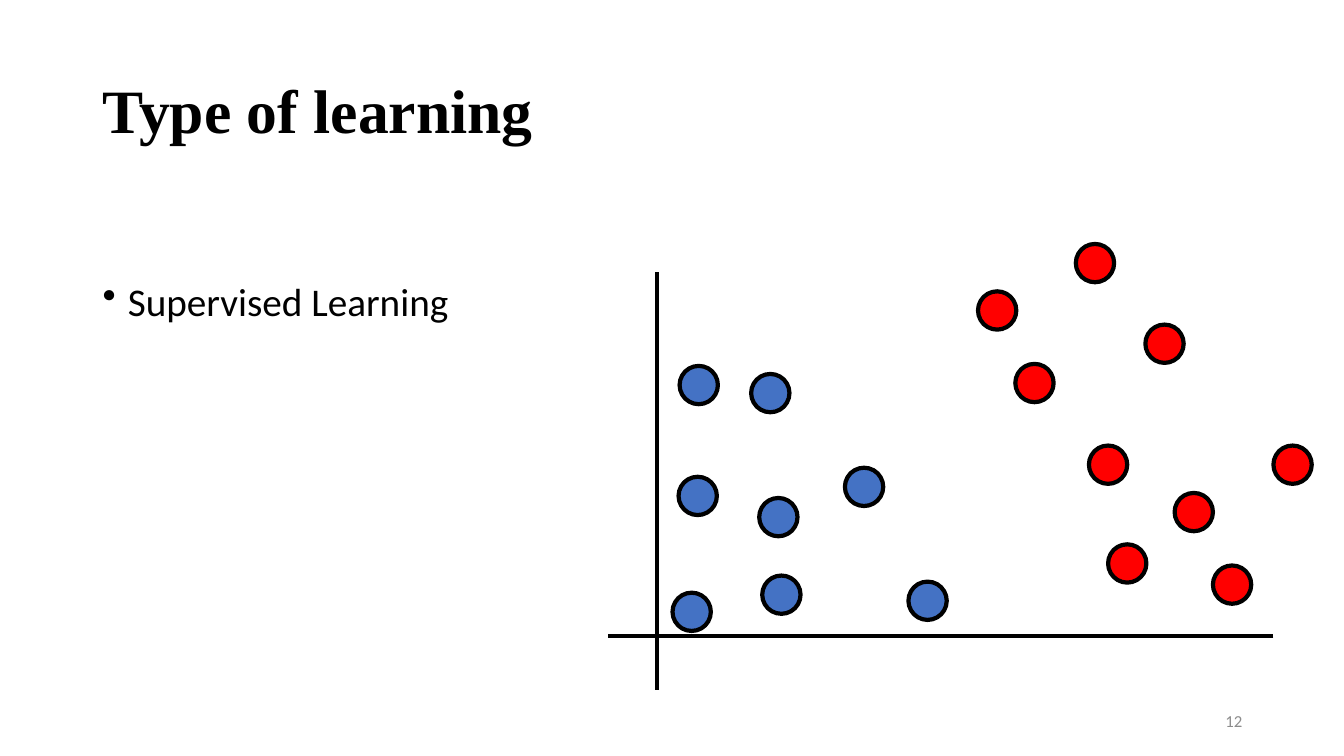
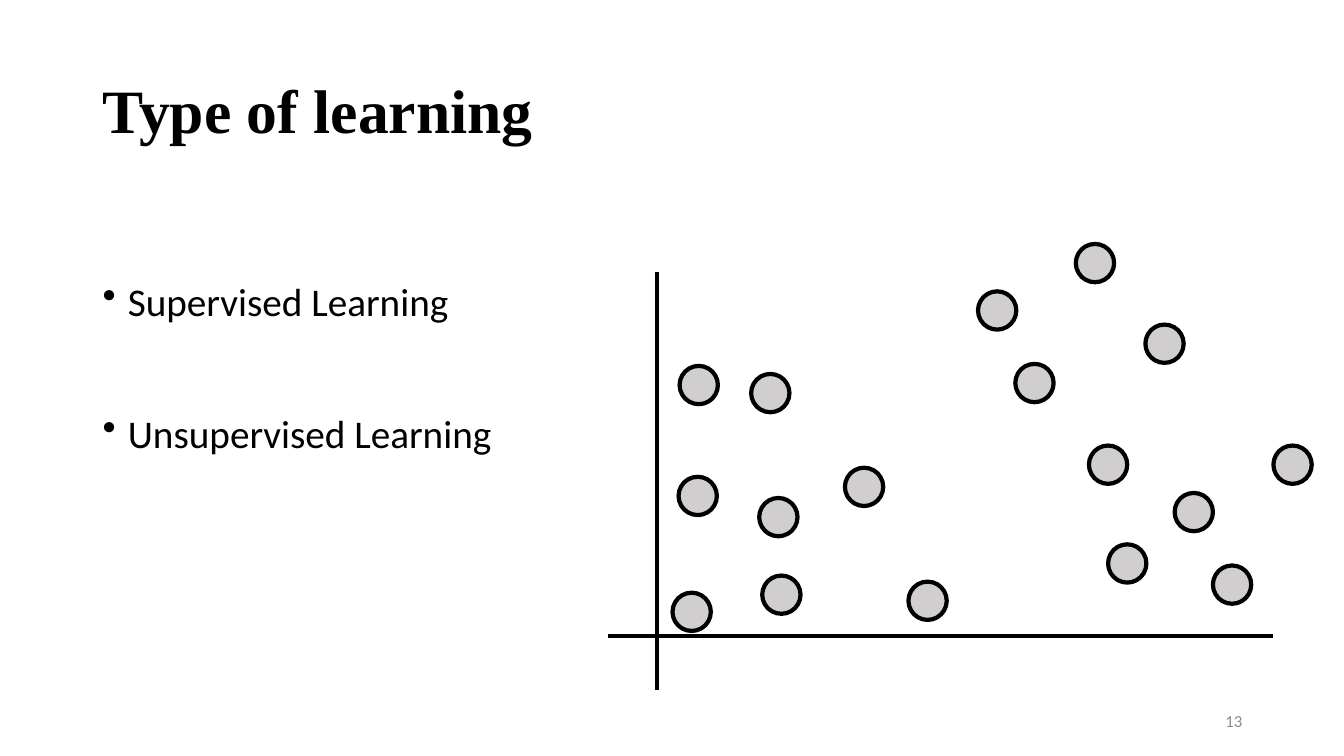
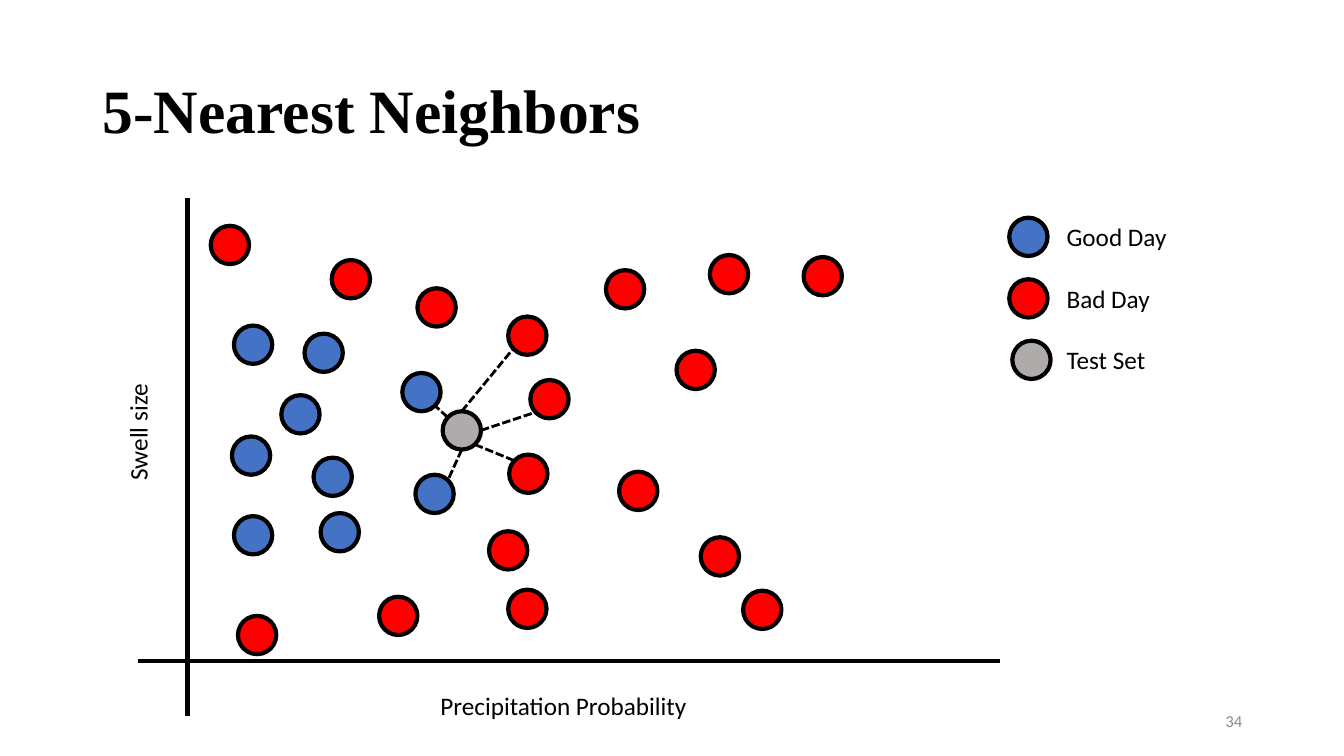
"""Builds three slides on learning types and nearest neighbors."""
from lxml.etree import SubElement
from pptx import Presentation
from pptx.dml.color import RGBColor
from pptx.enum.dml import MSO_LINE
from pptx.enum.shapes import MSO_CONNECTOR, MSO_SHAPE
from pptx.enum.text import MSO_ANCHOR as ANCHOR, PP_ALIGN as ALIGN
from pptx.oxml.ns import qn
from pptx.util import Inches, Pt

BLACK = RGBColor(0x00, 0x00, 0x00)
BLUE = RGBColor(0x44, 0x72, 0xC4)
RED = RGBColor(0xFF, 0x00, 0x00)
LIGHT_GRAY = RGBColor(0xD0, 0xCE, 0xCE)
MID_GRAY = RGBColor(0xAF, 0xAB, 0xAB)
NUMBER_GRAY = RGBColor(0x8C, 0x8C, 0x8C)
DOT = 0.38


def add_text(s, text, x, y, w, h, size=18, font="Calibri", color=BLACK, bold=False,
             align=ALIGN.LEFT, anchor=ANCHOR.TOP, spacing=1.0, before=0,
             bullet=False, rotation=0):
    box = s.shapes.add_textbox(Inches(x), Inches(y), Inches(w), Inches(h))
    box.rotation = rotation
    tf = box.text_frame
    tf.word_wrap = True
    tf.vertical_anchor = anchor
    tf.text = text
    for p in tf.paragraphs:
        p.alignment = align
        p.line_spacing = spacing
        p.space_before = Pt(before)
        p.font.size = Pt(size)
        p.font.name = font
        p.font.bold = bold
        p.font.color.rgb = color
        if bullet:
            pPr = p._p.get_or_add_pPr()
            pPr.set("marL", str(Inches(0.25)))
            pPr.set("indent", str(Inches(-0.25)))
            mark = pPr.makeelement(qn("a:buChar"), {"char": "•"})
            pPr.insert_element_before(mark, "a:tabLst", "a:defRPr", "a:extLst")


right_cluster = [(10.99, 5.4), (11.65, 4.89), (12.03, 5.61), (10.8, 4.42), (12.63, 4.42),
                 (11.36, 3.22), (9.7, 2.89), (10.07, 3.61), (10.67, 2.42)]
left_cluster = [(6.74, 3.63), (7.45, 3.71), (6.67, 5.88), (6.73, 4.73), (7.53, 4.94),
                (7.56, 5.71), (8.38, 4.64), (9.01, 5.77)]
bad_days = [(5.04, 5.85), (7.37, 5.86), (6.14, 4.68), (6.71, 3.48), (5.04, 3.14),
            (7.97, 2.55), (6.01, 2.68), (7.04, 2.53), (2.09, 2.24), (3.29, 2.58),
            (2.36, 6.11), (3.76, 5.92), (4.85, 5.27), (6.95, 5.33), (4.14, 2.86),
            (5.05, 4.51), (5.26, 3.77)]
good_days = [(2.32, 3.23), (3.02, 3.31), (2.32, 5.12), (3.18, 5.09), (4.12, 4.71),
             (3.99, 3.7), (2.3, 4.33), (3.11, 4.54), (2.79, 3.92)]
test_day = [(4.39, 4.08)]
legend = [("Good Day", BLUE, 10.01), ("Bad Day", RED, 10.01), ("Test Set", MID_GRAY, 10.04)]

cluster_axes = [(6.52, 2.7, 6.52, 6.85), (12.63, 6.31, 6.03, 6.31)]
day_axes = [(1.86, 1.96, 1.86, 7.1), (9.92, 6.56, 1.37, 6.56)]
neighbor_links = [(4.58, 4.08, 5.09, 3.46), (4.77, 4.27, 5.31, 4.09),
                  (4.71, 4.41, 5.1, 4.57), (4.44, 4.14, 4.32, 4.03),
                  (4.58, 4.46, 4.44, 4.77)]

day_dots = [(RED, bad_days), (BLUE, good_days), (MID_GRAY, test_day)]
day_labels = [("Precipitation Probability", 4.27, 6.8, 2.74, 0),
              ("Swell size", 0.51, 3.81, 1.71, 270)]
for i, (name, color, x) in enumerate(legend):
    y = 2.16 + 0.61 * i
    day_dots.append((color, [(x, y)]))
    day_labels.append((name, 10.48, y - 0.01, 1.99, 0))

slides = [
    ("Type of learning", "12", "Supervised Learning",
     [(RED, right_cluster), (BLUE, left_cluster)], cluster_axes, [], []),
    ("Type of learning", "13", "Supervised Learning\nUnsupervised Learning",
     [(LIGHT_GRAY, right_cluster + left_cluster)], cluster_axes, [], []),
    ("5-Nearest Neighbors", "34", "", day_dots, day_axes, neighbor_links, day_labels),
]

prs = Presentation()
prs.slide_width = Inches(13.33)
prs.slide_height = Inches(7.5)

for title, number, bullets, dots, axes, links, labels in slides:
    s = prs.slides.add_slide(prs.slide_layouts[6])
    add_text(s, title, 0.92, 0.4, 11.5, 1.45, size=44, font="Times New Roman",
             bold=True, anchor=ANCHOR.MIDDLE, spacing=0.9)
    if bullets:
        add_text(s, bullets, 0.92, 2, 4.55, 4.76, size=28, spacing=2.5, before=10,
                 bullet=True)

    for color, spots in dots:
        for x, y in spots:
            sp = s.shapes.add_shape(MSO_SHAPE.OVAL, Inches(x), Inches(y),
                                    Inches(DOT), Inches(DOT))
            sp.shadow.inherit = False
            sp.fill.solid()
            sp.fill.fore_color.rgb = color
            sp.line.color.rgb = BLACK
            sp.line.width = Pt(3)

    for lines, width, dash in [(axes, 3, MSO_LINE.SOLID), (links, 2, MSO_LINE.SQUARE_DOT)]:
        for ends in lines:
            line = s.shapes.add_connector(MSO_CONNECTOR.STRAIGHT, *map(Inches, ends))
            line.line.color.rgb = BLACK
            line.line.width = Pt(width)
            line.line.dash_style = dash
            SubElement(line._element.spPr, qn("a:effectLst"))

    for text, x, y, w, rotation in labels:
        add_text(s, text, x, y, w, 0.4, rotation=rotation)
    add_text(s, number, 9.42, 6.95, 3, 0.4, size=12, color=NUMBER_GRAY,
             align=ALIGN.RIGHT, anchor=ANCHOR.MIDDLE)

prs.save("out.pptx")
